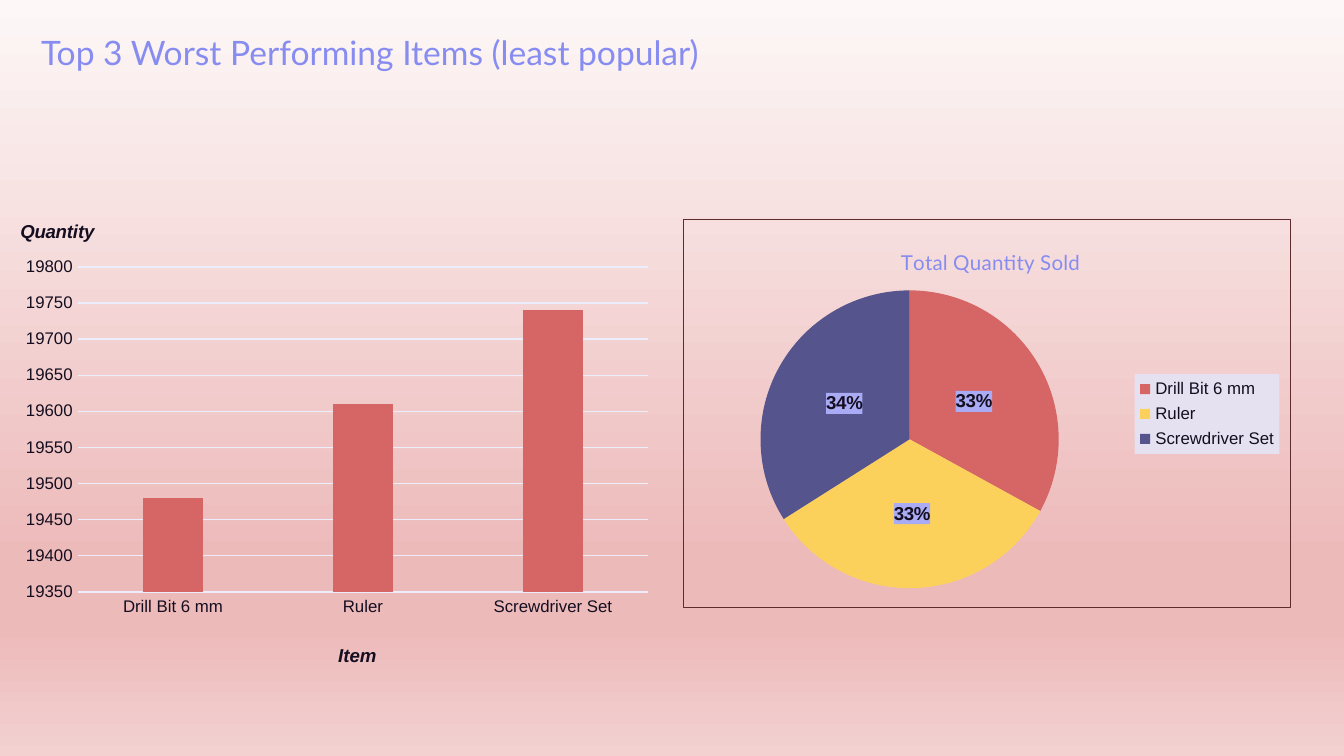
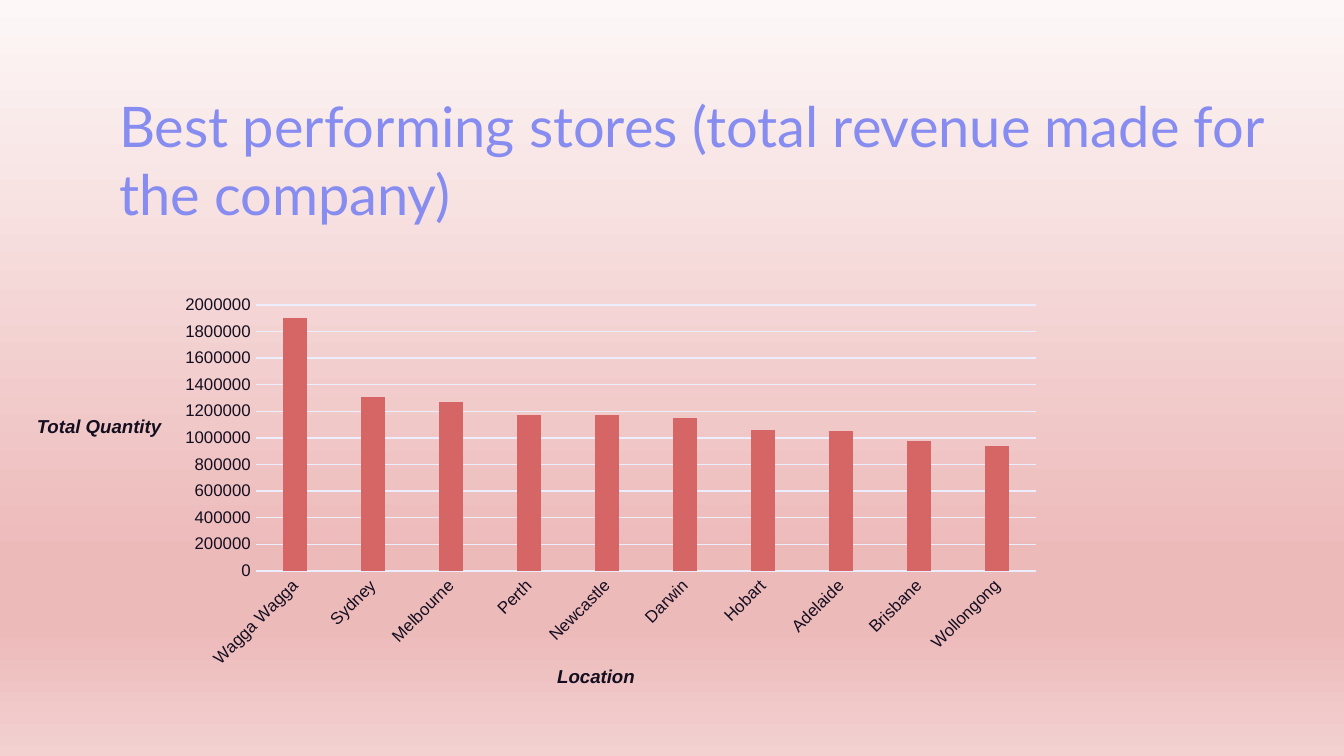
from dataclasses import dataclass

from lxml.etree import SubElement
from pptx import Presentation
from pptx.chart.data import CategoryChartData
from pptx.dml.color import RGBColor
from pptx.enum.chart import XL_CHART_TYPE, XL_LABEL_POSITION, XL_LEGEND_POSITION, XL_TICK_MARK
from pptx.enum.text import MSO_ANCHOR, MSO_AUTO_SIZE, PP_ALIGN
from pptx.oxml import parse_xml
from pptx.oxml.ns import nsdecls, qn
from pptx.util import Pt


@dataclass(frozen=True)
class Theme:
    ink: str = "140E20"
    accent: str = "878CF0"
    grid: str = "EDEEFD"
    bar: str = "D66565"
    slices: tuple = ("D66565", "FBD15B", "56548C")
    frame: str = "5E2C2C"
    legend_fill: str = "E6E1F0"
    label_fill: str = "AAABF5"
    background: tuple = ((0, "FDF7F7"), (74, "EDBABA"), (83, "EDBABA"), (100, "F3D1D1"))
    body_font: str = "Arial"
    title_font: str = "Lato"
    caption_size: int = 10
    axis_size: int = 9
    pie_title_size: int = 11
    hairline: float = 0.75


THEME = Theme()
PX = 914400 / 134.4
WIDTH, HEIGHT = 1344, 756
TITLE_SIZE = (1203, 85)

ITEMS = ["Drill Bit 6 mm", "Ruler", "Screwdriver Set"]

# Boxes are left, top, width, height in px on the slide; scales are minimum, maximum, step.
SLIDES = [
    {
        "title": "Top 3 Worst Performing Items (least popular)",
        "title_at": (28, 19),
        "title_size": 18,
        "columns": {
            "data": dict(zip(ITEMS, (19480, 19610, 19740))),
            "box": (12, 202, 649, 425),
            "plot": (78, 267, 570, 325),
            "scale": (19350, 19800, 50),
            "heading": ("Quantity", (17, 216)),
        },
        "pie": {
            "data": dict(zip(ITEMS, (33, 33, 34))),
            "box": (683, 219, 608, 389),
            "plot": (760, 290, 299, 299),
            "heading": ("Total Quantity Sold", (897, 243)),
            "legend_at": (1135, 374),
        },
        "captions": [("Item", (325, 637, 83, 59), PP_ALIGN.LEFT)],
    },
    {
        "title": "Best performing stores (total revenue made for the company)",
        "title_at": (106, 79),
        "title_size": 30,
        "columns": {
            "data": {
                "Wagga Wagga": 1900000,
                "Sydney": 1310000,
                "Melbourne": 1270000,
                "Perth": 1170000,
                "Newcastle": 1170000,
                "Darwin": 1150000,
                "Hobart": 1060000,
                "Adelaide": 1050000,
                "Brisbane": 980000,
                "Wollongong": 940000,
            },
            "box": (168, 288, 886, 390),
            "plot": (256, 305, 780, 266),
            "scale": (0, 2000000, 200000),
            "label_turn": -45,
        },
        "captions": [
            ("Total Quantity", (0, 408, 198, 36), PP_ALIGN.CENTER),
            ("Location", (544, 658, 132, 36), PP_ALIGN.LEFT),
        ],
    },
]


def emu(*lengths):
    return [round(length * PX) for length in lengths]


def rgb(color):
    return RGBColor.from_string(color)


def set_font(font, size, color=THEME.ink, name=THEME.body_font, bold=False, italic=False):
    font.size, font.name, font.bold, font.italic = Pt(size), name, bold, italic
    font.color.rgb = rgb(color)


def write(frame, text, align=PP_ALIGN.LEFT, **font_format):
    paragraph = frame.paragraphs[0]
    paragraph.alignment = align
    run = paragraph.add_run()
    run.text = text
    set_font(run.font, **font_format)


def paint_background(master):
    fill = master.background.fill
    fill.gradient()
    fill.gradient_angle = 270
    stops = master.element.find(".//" + qn("a:gsLst"))
    for stop in list(stops):
        stops.remove(stop)
    for percent, color in THEME.background:
        stop = SubElement(stops, qn("a:gs"), pos=str(percent * 1000))
        SubElement(stop, qn("a:srgbClr"), val=color)


def add_title(slide, text, corner, size):
    title = slide.shapes.title
    title.left, title.top, title.width, title.height = emu(*corner, *TITLE_SIZE)
    frame = title.text_frame
    frame.word_wrap, frame.auto_size = True, MSO_AUTO_SIZE.NONE
    frame.vertical_anchor = MSO_ANCHOR.TOP
    inset, = emu(13)
    frame.margin_left = frame.margin_right = frame.margin_top = frame.margin_bottom = inset
    write(frame, text, size=size, color=THEME.accent, name=THEME.title_font)


def add_caption(slide, text, box, align):
    frame = slide.shapes.add_textbox(*emu(*box)).text_frame
    frame.word_wrap = True
    frame.auto_size = MSO_AUTO_SIZE.SHAPE_TO_FIT_TEXT
    write(frame, text, align, size=THEME.caption_size, bold=True, italic=True)


def surface(fill=None, line=None):
    """Return the c:spPr of a chart part, empty where no colour is given."""
    def paint(color):
        return f'<a:solidFill><a:srgbClr val="{color}"/></a:solidFill>' if color else "<a:noFill/>"

    return parse_xml(
        f'<c:spPr {nsdecls("c", "a")}>{paint(fill)}'
        f'<a:ln w="{Pt(THEME.hairline)}">{paint(line)}</a:ln></c:spPr>'
    )


def layout(box, place, inner=False):
    """Return a c:layout that puts a part at a slide place, as fractions of the chart box."""
    left, top, width, height = box
    shares = {"x": (place[0] - left) / width, "y": (place[1] - top) / height}
    if len(place) == 4:
        shares |= {"w": place[2] / width, "h": place[3] / height}
    target = '<c:layoutTarget val="inner"/>' if inner else ""
    modes = '<c:xMode val="edge"/><c:yMode val="edge"/>'
    values = "".join(f'<c:{key} val="{share:.4f}"/>' for key, share in shares.items())
    return parse_xml(
        f'<c:layout {nsdecls("c")}><c:manualLayout>{target}{modes}{values}</c:manualLayout></c:layout>'
    )


def set_layout(part, new_layout, after=None):
    for old in part.findall(qn("c:layout")):
        part.remove(old)
    if after:
        part.find(qn(after)).addnext(new_layout)
    else:
        part.insert(0, new_layout)


def add_chart(slide, kind, content, heading_format, border=None):
    data = CategoryChartData()
    data.categories = list(content["data"])
    data.add_series("Series 1", list(content["data"].values()))
    box = content["box"]
    chart = slide.shapes.add_chart(kind, *emu(*box), data).chart
    set_font(chart.font, THEME.caption_size, THEME.accent)
    chart.has_legend = False
    chart.has_title = "heading" in content
    if chart.has_title:
        text, corner = content["heading"]
        heading = chart.chart_title
        write(heading.text_frame, text, **heading_format)
        heading.include_in_layout = False
        set_layout(heading._element, layout(box, corner), after="c:tx")
    chart_space = chart._chartSpace
    chart_space.find(qn("c:chart")).addnext(surface(line=border))
    plot_area = chart_space.find(".//" + qn("c:plotArea"))
    set_layout(plot_area, layout(box, content["plot"], inner=True))
    plot_area.append(surface())
    return chart


def add_columns(slide, content):
    heading_format = dict(size=THEME.caption_size, bold=True, italic=True)
    chart = add_chart(slide, XL_CHART_TYPE.COLUMN_CLUSTERED, content, heading_format)
    plot = chart.plots[0]
    plot.gap_width, plot.overlap, plot.vary_by_categories = 219, -27, False
    bars = plot.series[0].format.fill
    bars.solid()
    bars.fore_color.rgb = rgb(THEME.bar)

    items, amounts = chart.category_axis, chart.value_axis
    for axis in (items, amounts):
        axis.major_tick_mark = axis.minor_tick_mark = XL_TICK_MARK.NONE
        set_font(axis.tick_labels.font, THEME.axis_size)
    amounts.minimum_scale, amounts.maximum_scale, amounts.major_unit = content["scale"]
    amounts.tick_labels.number_format = "0"
    amounts.tick_labels.number_format_is_linked = False
    amounts.format.line.fill.background()
    amounts.has_major_gridlines = True
    for line in (items.format.line, amounts.major_gridlines.format.line):
        line.color.rgb = rgb(THEME.grid)
        line.width = Pt(THEME.hairline)
    if "label_turn" in content:
        body = items._element.find(qn("c:txPr")).find(qn("a:bodyPr"))
        body.set("rot", str(content["label_turn"] * 60000))


def add_pie(slide, content):
    heading_format = dict(size=THEME.pie_title_size, color=THEME.accent, name=THEME.title_font)
    chart = add_chart(slide, XL_CHART_TYPE.PIE, content, heading_format, THEME.frame)
    chart.plots[0].vary_by_categories = True
    shares = chart.plots[0].series[0]
    for index, color in enumerate(THEME.slices):
        fill = shares.points[index].format.fill
        fill.solid()
        fill.fore_color.rgb = rgb(color)

    labels = shares.data_labels
    labels.show_percentage, labels.show_value = True, False
    labels.number_format, labels.number_format_is_linked = "0%", False
    labels.position = XL_LABEL_POSITION.CENTER
    set_font(labels.font, THEME.caption_size, bold=True)
    labels._element.find(qn("c:txPr")).addprevious(surface(THEME.label_fill))

    chart.has_legend = True
    legend = chart.legend
    legend.position = XL_LEGEND_POSITION.RIGHT
    legend.include_in_layout = False
    set_font(legend.font, THEME.axis_size)
    set_layout(legend._element, layout(content["box"], content["legend_at"]), after="c:legendPos")
    legend._element.find(qn("c:txPr")).addprevious(surface(THEME.legend_fill))


def main():
    deck = Presentation()
    deck.slide_width, deck.slide_height = emu(WIDTH, HEIGHT)
    paint_background(deck.slide_master)
    title_only = deck.slide_layouts[5]
    for content in SLIDES:
        slide = deck.slides.add_slide(title_only)
        add_title(slide, content["title"], content["title_at"], content["title_size"])
        add_columns(slide, content["columns"])
        if "pie" in content:
            add_pie(slide, content["pie"])
        for caption in content["captions"]:
            add_caption(slide, *caption)
    deck.save("out.pptx")


if __name__ == "__main__":
    main()
